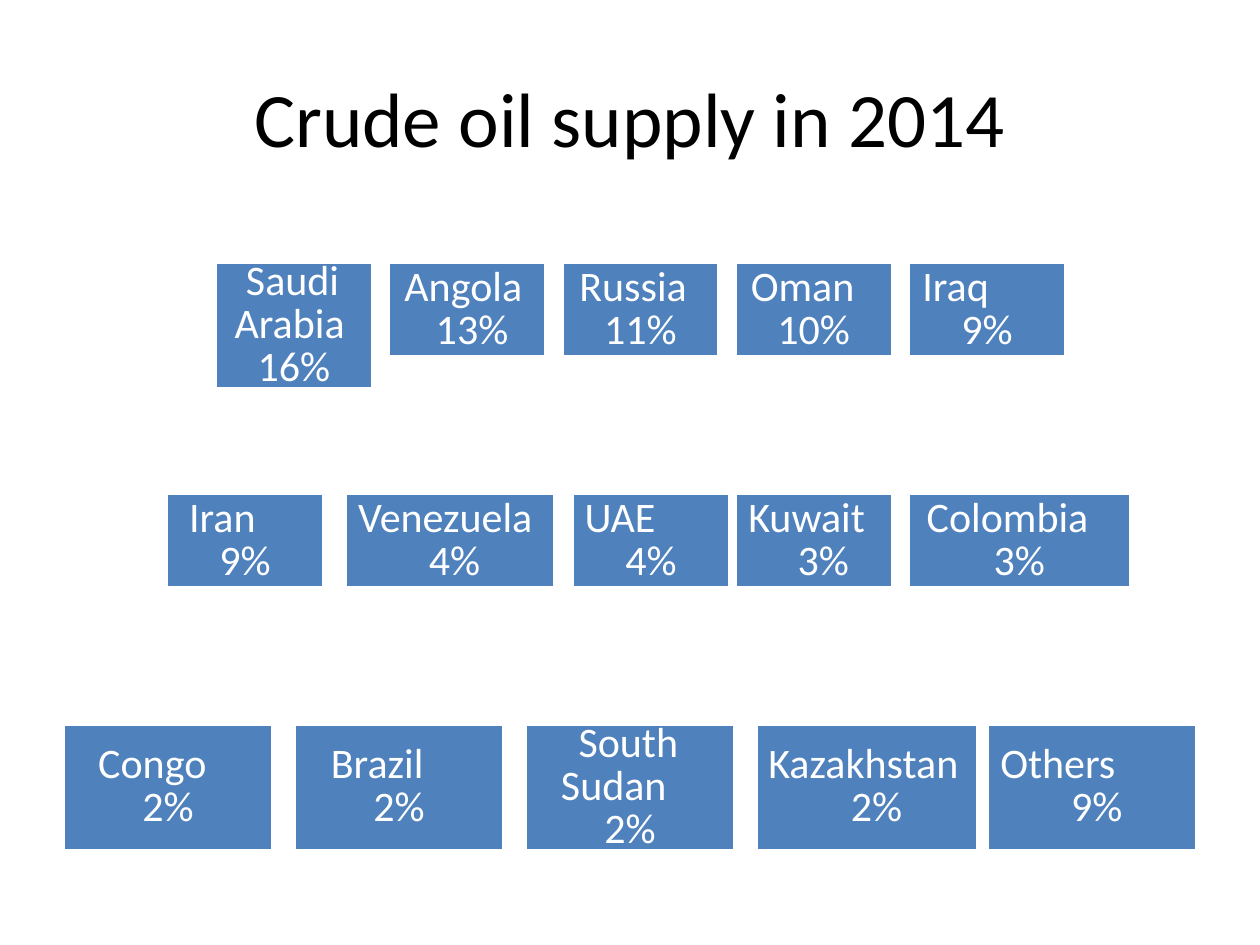
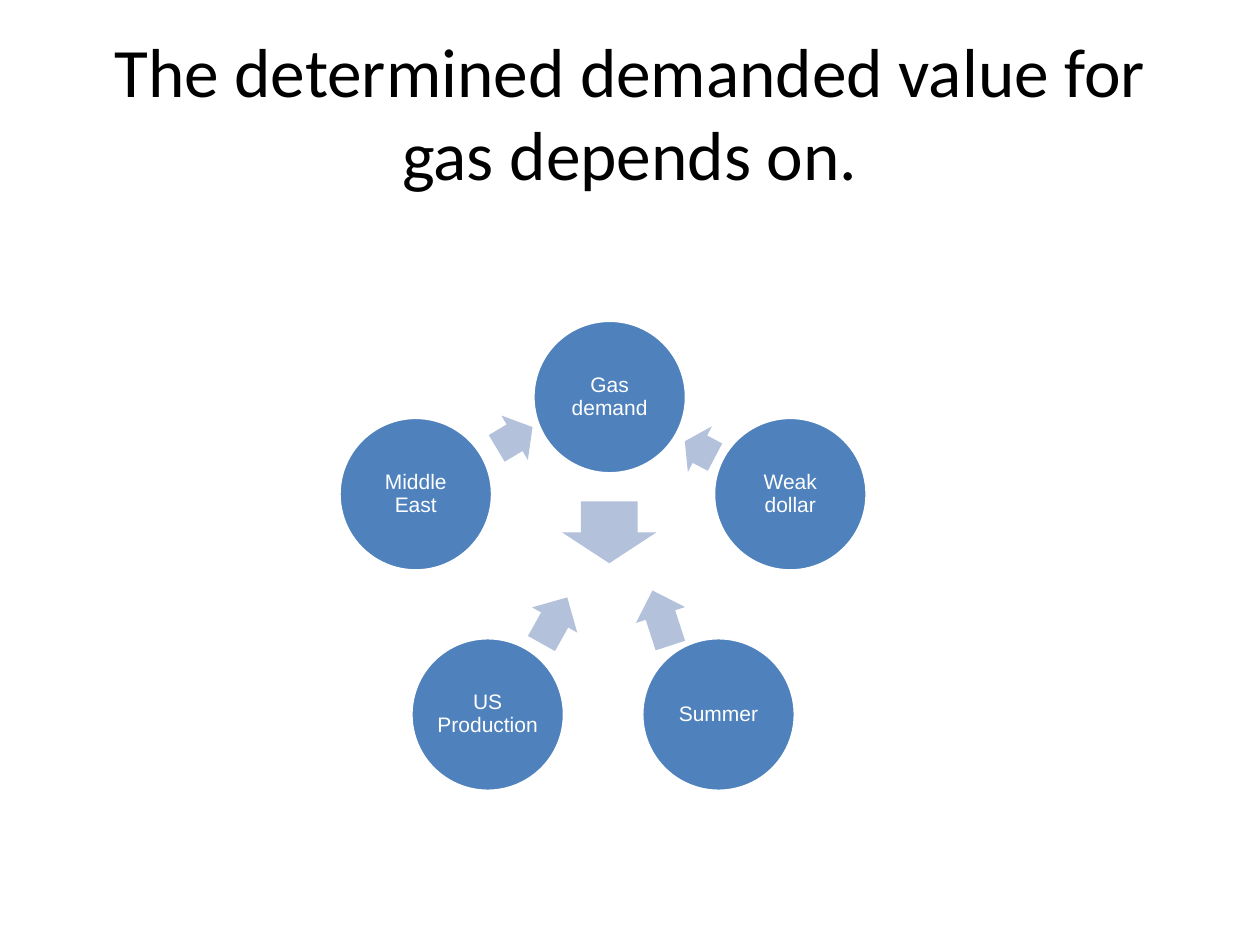
import pptx
import pptx.dml.color
import pptx.enum.shapes
import pptx.enum.text
import pptx.util

Pt = pptx.util.Pt
Shape = pptx.enum.shapes.MSO_SHAPE
Align = pptx.enum.text.PP_ALIGN
Anchor = pptx.enum.text.MSO_ANCHOR

BLUE, PALE_BLUE, WHITE, BLACK = "4F81BD", "B3C1DB", "FFFFFF", "000000"

ROW_ONE = [
    ("Saudi Arabia", "16%", 90, 72, 4, 6.5, 0),
    ("Angola", "13%", 90, 54, 2, 0, 5.4),
    ("Russia", "11%", 90, 54, 3, 0, 0),
    ("Oman", "10%", 90, 54, 2, 0, 0),
    ("Iraq", "9%", 90, 54, 1, 0, 0),
]
ROW_TWO = [
    ("Iran", "9%", 90, 54, 6, 0, 0),
    ("Venezuela", "4%", 120, 54, 0.5, 0, 5.4),
    ("UAE", "4%", 90, 54, 0, 0, 0),
    ("Kuwait", "3%", 90, 54, 0.5, 0, 10.8),
    ("Colombia", "3%", 127, 54, 3.5, 0, 0),
]
ROW_THREE = [
    ("Congo", "2%", 120, 72, 13, 0, 0),
    ("Brazil", "2%", 120, 72, 14, 0, 0),
    ("South Sudan", "2%", 120, 72, 13.5, 10, 0),
    ("Kazakhstan", "2%", 127, 72, 0, 0, 10.8),
    ("Others", "9%", 120, 72, 0.5, 0, 5.4),
]
SUPPLY_ROWS = [
    (150, [123 + 99 * i for i in range(5)], ROW_ONE),
    (282, [95, 197, 327, 420, 519], ROW_TWO),
    (414, [36 + 132 * i for i in range(5)], ROW_THREE),
]
FACTORS = [
    ("Gas demand", 304.5, 183),
    ("Weak dollar", 407.7, 238.5),
    ("Summer", 366.7, 364.4),
    ("US Production", 234.8, 364.4),
    ("Middle East", 193.7, 238.5),
]
ARROWS = [
    (390.2, 241.9, 19.5, 29.5, 207.8),
    (282.2, 235.4, 23.8, 29.5, 329.2),
    (301.7, 339.8, 30.2, 29.5, 299.2),
    (361.4, 338.4, 33.1, 29.5, 252),
    (330.5, 277.2, 35.3, 54, 90),
]


def color(value):
    return pptx.dml.color.RGBColor.from_string(value)


class SlideBuilder:
    def __init__(self, deck):
        self.deck = deck
        self.page = None

    def style_para(self, para, size, font, text_color, align, spacing=None):
        para.alignment = align
        para.line_spacing = spacing
        para.font.size = Pt(size)
        para.font.name = font
        para.font.color.rgb = color(text_color)

    def titled_page(self, text, top, size):
        self.page = self.deck.slides.add_slide(self.deck.slide_layouts[5])
        title = self.page.shapes.title
        title.left, title.top, title.width, title.height = Pt(36), Pt(top), Pt(648), Pt(90)
        title.text_frame.text = text
        title.text_frame.vertical_anchor = Anchor.MIDDLE
        self.style_para(title.text_frame.paragraphs[0], size, "Calibri", BLACK, Align.CENTER)

    def shape(self, kind, left, top, width, height, fill, outline=None):
        box = self.page.shapes.add_shape(kind, Pt(left), Pt(top), Pt(width), Pt(height))
        box.shadow.inherit = False
        box.fill.solid()
        box.fill.fore_color.rgb = color(fill)
        if outline:
            box.line.color.rgb = color(outline)
            box.line.width = Pt(2)
        else:
            box.line.fill.background()
        box.text_frame.word_wrap = True
        box.text_frame.vertical_anchor = Anchor.MIDDLE
        return box

    def indent(self, para, margin, first_line=0):
        properties = para._p.get_or_add_pPr()
        properties.set("marL", str(Pt(margin)))
        properties.set("indent", str(Pt(first_line)))

    def supplier(self, left, top, name, share, width, height, margin, first_line, share_margin):
        box = self.shape(Shape.RECTANGLE, left, top, width, height, BLUE, WHITE)
        name_para = box.text_frame.paragraphs[0]
        name_para.text = name
        self.indent(name_para, margin, first_line)
        self.style_para(name_para, 24, "Calibri", WHITE, Align.LEFT, 0.85)
        share_para = box.text_frame.add_paragraph()
        share_para.text = share
        self.indent(share_para, share_margin)
        self.style_para(share_para, 24, "Calibri", WHITE, Align.CENTER, 0.85)

    def factor(self, text, left, top):
        circle = self.shape(Shape.OVAL, left, top, 87.8, 87.8, BLUE, WHITE)
        frame = circle.text_frame
        frame.margin_left = frame.margin_right = Pt(1.2)
        frame.margin_top = frame.margin_bottom = Pt(1.2)
        frame.text = text
        self.style_para(frame.paragraphs[0], 12, "Arial", WHITE, Align.CENTER, 0.9)

    def arrow(self, left, top, width, height, rotation):
        arrow = self.shape(Shape.RIGHT_ARROW, left, top, width, height, PALE_BLUE)
        arrow.adjustments[0] = 0.6
        arrow.adjustments[1] = 0.5
        arrow.rotation = rotation


def main():
    deck = pptx.Presentation()
    deck.slide_width, deck.slide_height = Pt(720), Pt(540)
    builder = SlideBuilder(deck)

    builder.titled_page("Crude oil supply in 2014", 21.6, 44)
    for top, lefts, suppliers in SUPPLY_ROWS:
        for left, supplier in zip(lefts, suppliers):
            builder.supplier(left, top, *supplier)

    builder.titled_page("The determined demanded value for gas depends on.", 18.7, 39.6)
    for factor in FACTORS:
        builder.factor(*factor)
    for arrow in ARROWS:
        builder.arrow(*arrow)

    deck.save("out.pptx")


if __name__ == "__main__":
    main()
